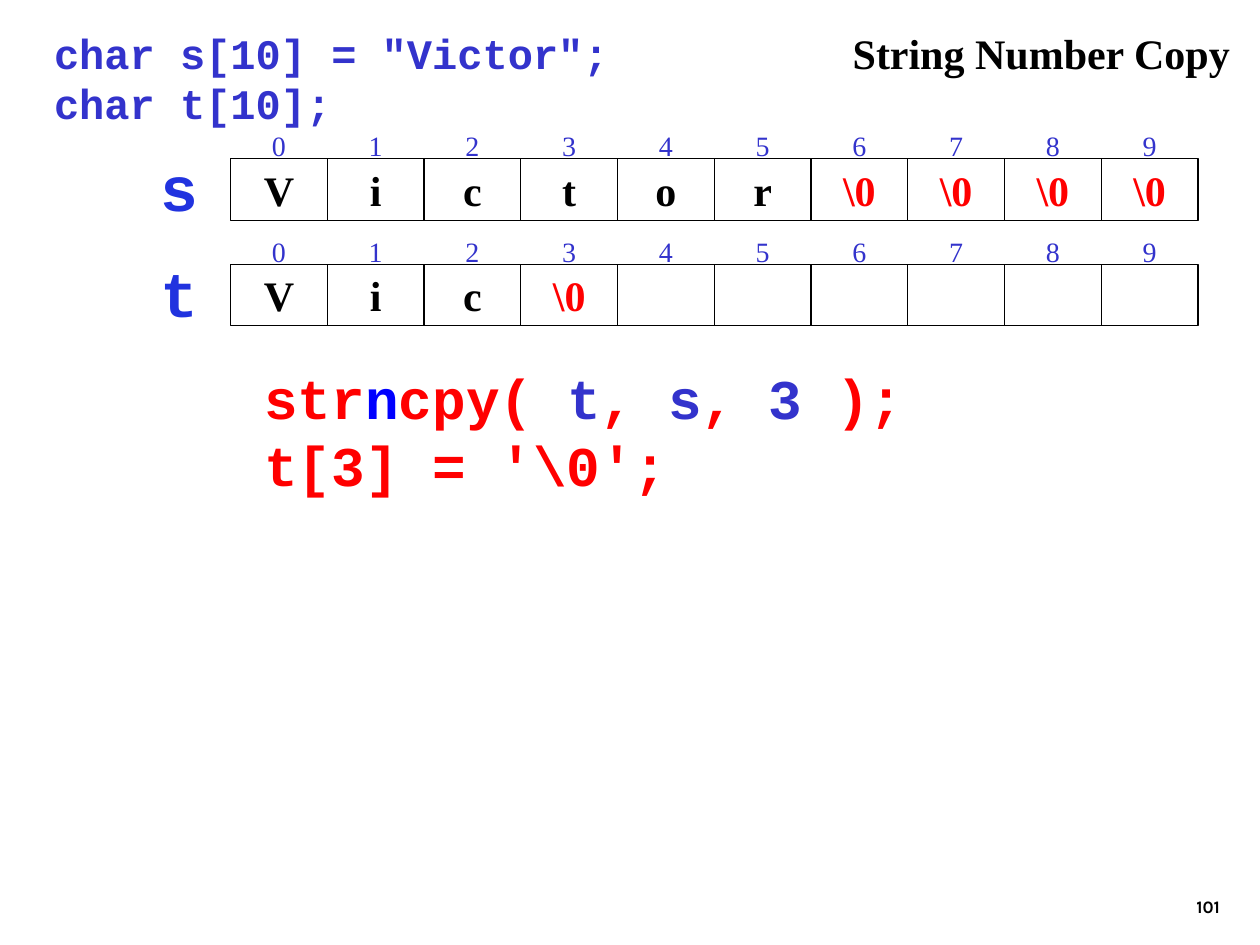
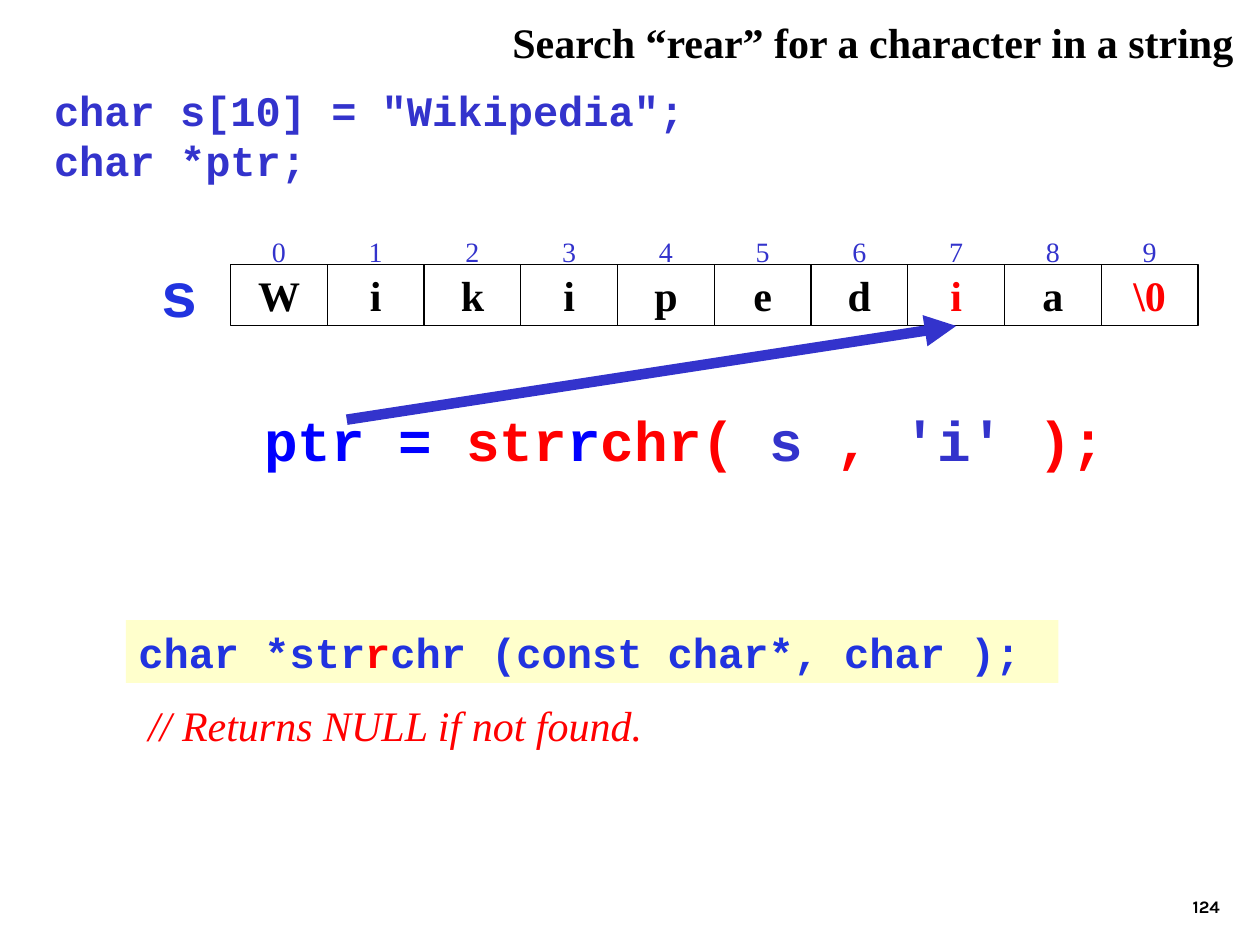
from pptx import Presentation
from pptx.dml.color import RGBColor
from pptx.enum.shapes import MSO_CONNECTOR, MSO_SHAPE
from pptx.enum.text import MSO_ANCHOR, PP_ALIGN
from pptx.oxml.ns import qn
from pptx.util import Cm, Pt
from lxml.etree import SubElement

# Shared colours and fonts
BLACK, RED, BLUE = "000000", "FF0000", "0000FF"
INDIGO, ROYAL, CREAM = "3333CC", "2133DF", "FFFFCC"
SERIF, MONO, FOOTER = "Times New Roman", "Courier New", "Karla"

# Array layout in centimetres
ARRAY_LEFT, CELL_WIDTH, CELL_HEIGHT, CELL_COUNT = 4.65, 1.95, 1.24, 10
INDEX_RISE, NAME_RISE = 0.89, 0.33


def color(hex_value):
    return RGBColor.from_string(hex_value)


def write(shape, lines, size, font=SERIF, bold=True, italic=False,
          align=PP_ALIGN.LEFT, anchor=MSO_ANCHOR.TOP, wrap=True, tabs=()):
    """Fill a shape with lines, each a list of (text, colour) runs."""
    frame = shape.text_frame
    frame.word_wrap = wrap
    frame.vertical_anchor = anchor
    for number, line in enumerate(lines):
        paragraph = frame.add_paragraph() if number else frame.paragraphs[0]
        paragraph.alignment = align
        if tabs:
            tab_list = SubElement(paragraph._p.get_or_add_pPr(), qn("a:tabLst"))
            for position in tabs:
                SubElement(tab_list, qn("a:tab"), pos=str(Cm(position)), algn="ctr")
        paragraph.font.name = font
        paragraph.font.size = Pt(size)
        paragraph.font.bold = bold
        paragraph.font.italic = italic
        paragraph.font.color.rgb = color(line[0][1])
        for text, run_color in line:
            run = paragraph.add_run()
            run.text = text
            if run_color != line[0][1]:
                run.font.color.rgb = color(run_color)


# Content: boxes are (left, top, width, height); arrays are (name, top, cells, red cells)
slide_contents = [
    {
        "number": "101",
        "title": "String Number Copy",
        "title_box": (16.94, 0.43, 8.13, 1.27),
        "declarations": ['char s[10] = "Victor";', "char t[10];"],
        "declarations_box": (0.84, 0.43, 18.85, 3.3),
        "arrays": [
            ("t", 5.33, ["V", "i", "c", r"\0"], {3}),
            ("s", 3.2, [*"Victor", *[r"\0"] * 4], {6, 7, 8, 9}),
        ],
        "call": [
            [("str", RED), ("n", BLUE), ("cpy( ", RED), ("t", INDIGO), (",", RED),
             (" s", INDIGO), (",", RED), (" 3 ", INDIGO), (");", RED)],
            [(r"t[3] = '\0';", RED)],
        ],
        "call_box": (5.08, 7.2, 14.17, 2.97),
    },
    {
        "number": "124",
        "title": "Search “rear” for a character in a string",
        "title_box": (10.08, 0.2, 15.11, 1.27),
        "declarations": ['char s[10] = "Wikipedia";', "char *ptr;"],
        "declarations_box": (0.84, 1.57, 18.85, 2.29),
        "arrays": [("s", 5.33, [*"Wikipedia", r"\0"], {7, 9})],
        "call": [
            [("ptr = ", BLUE), ("str", RED), ("r", BLUE), ("chr( ", RED),
             ("s ", INDIGO), (",", RED), (" 'i' ", INDIGO), (");", RED)],
        ],
        "call_box": (5.08, 8.05, 17.98, 2.64),
    },
]

presentation = Presentation()
presentation.slide_width = Cm(25.4)
presentation.slide_height = Cm(19.05)

for content in slide_contents:
    slide = presentation.slides.add_slide(presentation.slide_layouts[6])

    # Slide number
    footer = slide.shapes.add_textbox(Cm(19.56), Cm(17.35), Cm(5.28), Cm(1.27))
    write(footer, [[(content["number"], BLACK)]], 10, FOOTER,
          align=PP_ALIGN.RIGHT, anchor=MSO_ANCHOR.BOTTOM)

    # Title, declarations and function call
    title = slide.shapes.add_textbox(*map(Cm, content["title_box"]))
    write(title, [[(content["title"], BLACK)]], 24, wrap=False)
    declarations = slide.shapes.add_textbox(*map(Cm, content["declarations_box"]))
    write(declarations, [[(line, INDIGO)] for line in content["declarations"]], 24, MONO)
    call = slide.shapes.add_textbox(*map(Cm, content["call_box"]))
    write(call, content["call"], 32, MONO)

    # Arrays: name, index row and cells
    for name, top, characters, red_cells in content["arrays"]:
        label = slide.shapes.add_textbox(Cm(2.97), Cm(top - NAME_RISE), Cm(1.27), Cm(1.78))
        write(label, [[(name, ROYAL)]], 36, MONO, align=PP_ALIGN.RIGHT, wrap=False)

        indexes = slide.shapes.add_textbox(
            Cm(ARRAY_LEFT), Cm(top - INDEX_RISE), Cm(CELL_WIDTH * CELL_COUNT), Cm(CELL_HEIGHT))
        indexes.text_frame.margin_left = 0
        index_text = "".join(f"\t{index}" for index in range(CELL_COUNT))
        write(indexes, [[(index_text, INDIGO)]], 16, bold=False, anchor=MSO_ANCHOR.MIDDLE,
              tabs=[(index + 0.5) * CELL_WIDTH for index in range(CELL_COUNT)])

        cells = []
        for index in range(CELL_COUNT):
            cell = slide.shapes.add_shape(
                MSO_SHAPE.RECTANGLE, Cm(ARRAY_LEFT + index * CELL_WIDTH), Cm(top),
                Cm(CELL_WIDTH), Cm(CELL_HEIGHT))
            cell.shadow.inherit = False
            cell.fill.background()
            cell.line.color.rgb = color(BLACK)
            cell.line.width = Pt(0.75)
            if index < len(characters):
                cell_color = RED if index in red_cells else BLACK
                write(cell, [[(characters[index], cell_color)]], 24,
                      align=PP_ALIGN.CENTER, anchor=MSO_ANCHOR.MIDDLE, wrap=False)
            cells.append(cell)

# Search slide: prototype of the function
prototype = slide.shapes.add_shape(MSO_SHAPE.RECTANGLE, Cm(2.54), Cm(12.5), Cm(18.8), Cm(1.27))
prototype.shadow.inherit = False
prototype.fill.solid()
prototype.fill.fore_color.rgb = color(CREAM)
prototype.line.fill.background()
write(prototype, [[("char *str", ROYAL), ("r", RED), ("chr (const char*, char );", ROYAL)]],
      24, MONO)

# Search slide: pointer to the character found
pointer = slide.shapes.add_connector(MSO_CONNECTOR.STRAIGHT, Cm(6.99), Cm(8.46), Cm(19.27), Cm(6.57))
pointer.end_connect(cells[7], 2)
pointer.line.color.rgb = color(INDIGO)
pointer.line.width = Pt(6)
SubElement(pointer.line._get_or_add_ln(), qn("a:tailEnd"), type="triangle")
SubElement(pointer._element.spPr, qn("a:effectLst"))

# Search slide: remark on the result
remark = slide.shapes.add_textbox(Cm(2.74), Cm(13.97), Cm(10.46), Cm(1.27))
write(remark, [[("// Returns NULL if not found.", RED)]], 24, bold=False, italic=True, wrap=False)

presentation.save("out.pptx")
